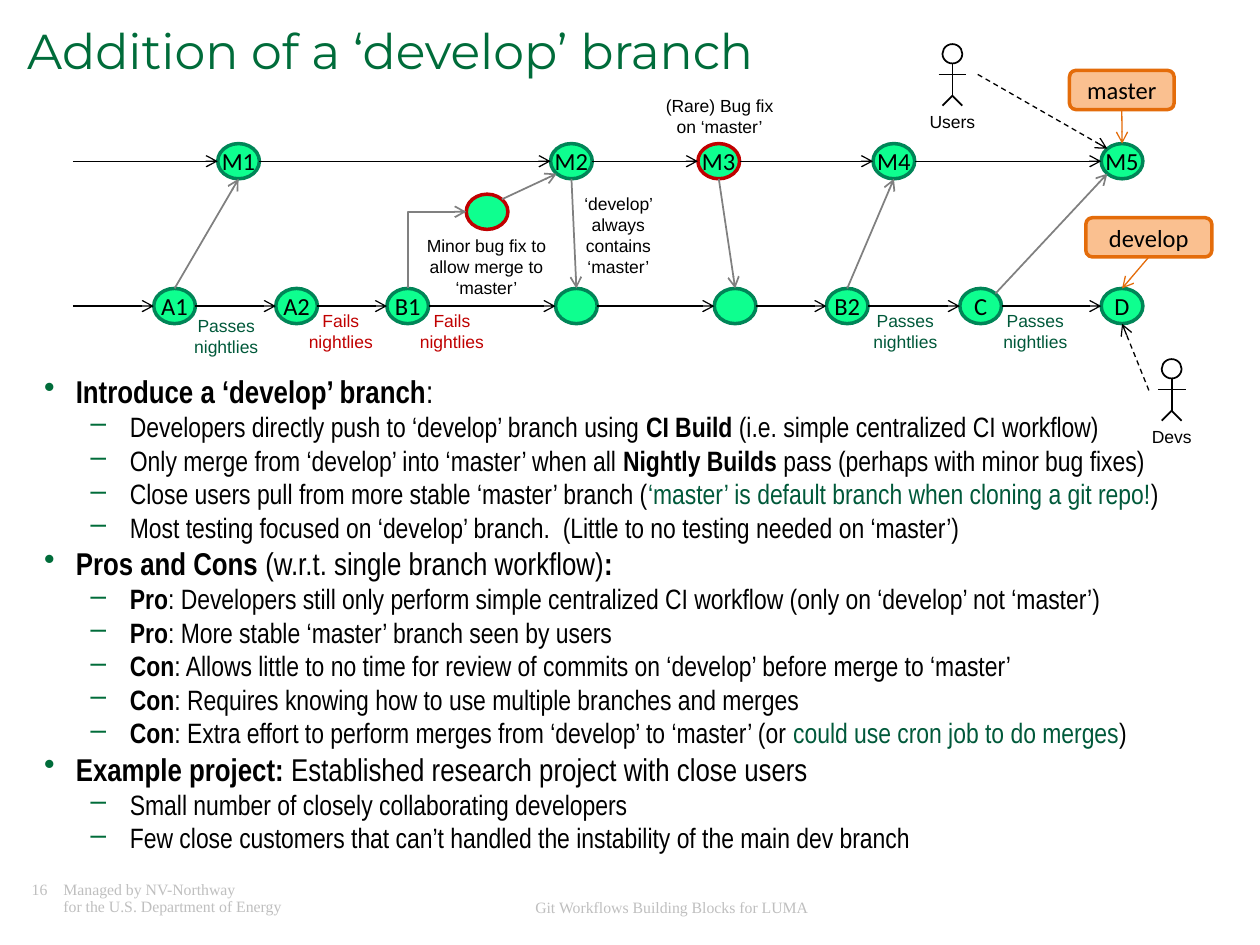
from itertools import pairwise

from lxml.etree import SubElement
from pptx import Presentation
from pptx.dml.color import RGBColor as RGB
from pptx.enum.dml import MSO_LINE as Dash
from pptx.enum.shapes import MSO_CONNECTOR as Conn, MSO_SHAPE as Shape
from pptx.enum.text import MSO_ANCHOR as Anchor, PP_ALIGN as Align
from pptx.oxml.ns import qn
from pptx.util import Cm, Pt

THEME = dict(
    black="000000", title="006C3A", green="00593A", red="C00000", gray="808080",
    node="0EFF8F", ring="008557", tag="FAC090", orange="E46C0A", footer="BFBFBF",
    title_pt=28, head_pt=18, item_pt=16, node_pt=14, label_pt=10, footer_pt=9,
    title_font="Montserrat", body_font="Arial Narrow", label_font="Arial",
    node_font="Calibri", footer_font="Times New Roman",
)

TITLE = "Addition of a ‘develop’ branch"
FOOTER = "16\tManaged by NV-Northway\nfor the U.S. Department of Energy"
FOOTER_MID = "Git Workflows Building Blocks for LUMA"

NODE_W, NODE_H, ROW_START = 0.84, 0.71, 1.47
ROWS = [
    (3.25, [("M1", 4.81), ("M2", 11.52), ("M3", 14.49), ("M4", 18.02), ("M5", 22.62)]),
    (6.17, [("A1", 3.52), ("A2", 5.98), ("B1", 8.22), ("sync1", 11.62),
            ("sync2", 14.82), ("B2", 17.08), ("C", 19.77), ("D", 22.62)]),
]
FIX = ("fix", 9.82, 4.27)
UNNAMED = {"sync1", "sync2", "fix"}
RED_RING = {"M3", "fix"}
MERGES = [
    ("A1", "top", "M1", "bottom"), ("B2", "top", "M4", "bottom"),
    ("C", "top_right", "M5", "bottom_left"), ("fix", "top_right", "M2", "bottom_left"),
    ("M2", "bottom", "sync1", "top"), ("M3", "bottom", "sync2", "top"),
]
TAGS = [("master", 21.56, 1.42, 2.11, "M5"), ("develop", 21.89, 4.39, 2.54, "D")]
TAG_H = 0.79
ACTORS = [
    ("Users", 19.2, 0.89, (19.71, 1.5), "M5", "top_left"),
    ("Devs", 23.62, 7.24, (23.16, 7.87), "D", "bottom"),
]
LABELS = [
    ("(Rare) Bug fix on ‘master’", 13.11, 1.8, 2.79, 1.12, "black"),
    ("Minor bug fix to allow merge to ‘master’", 8.08, 4.62, 3.45, 1.55, "black"),
    ("‘develop’ always contains ‘master’", 11.07, 3.76, 2.79, 1.96, "black"),
    ("Passes nightlies", 3.53, 6.22, 2.06, 1.12, "green"),
    ("Passes nightlies", 17.22, 6.12, 2.06, 1.12, "green"),
    ("Passes nightlies", 19.84, 6.12, 2.06, 1.12, "green"),
    ("Fails nightlies", 5.84, 6.12, 2.06, 1.12, "red"),
    ("Fails nightlies", 8.08, 6.12, 2.06, 1.12, "red"),
]
BODY = [
    ([("Introduce a ‘develop’ branch", "bold"), ":"], [
        ["Developers directly push to ‘develop’ branch using ", ("CI Build", "bold"),
         " (i.e. simple centralized CI workflow)"],
        ["Only merge from ‘develop’ into ‘master’ when all ", ("Nightly Builds ", "bold"),
         "pass (perhaps with minor bug fixes)"],
        ["Close users pull from more stable ‘master’ branch (",
         ("‘master’ is default branch when cloning a git repo!", "green"), ")"],
        ["Most testing focused on ‘develop’ branch.  (Little to no testing needed on ‘master’)"],
    ]),
    ([("Pros and Cons ", "bold"), "(w.r.t. single branch workflow)", (":", "bold")], [
        [("Pro", "bold"), ": Developers still only perform simple centralized CI workflow "
         "(only on ‘develop’ not ‘master’)"],
        [("Pro", "bold"), ": More stable ‘master’ branch seen by users"],
        [("Con", "bold"), ": Allows little to no time for review of commits on ‘develop’ "
         "before merge to ‘master’"],
        [("Con", "bold"), ": Requires knowing how to use multiple branches and merges"],
        [("Con", "bold"), ": Extra effort to perform merges from ‘develop’ to ‘master’ (or ",
         ("could use cron job to do merges", "green"), ")"],
    ]),
    ([("Example project:", "bold"), " Established research project with close users"], [
        ["Small number of closely collaborating developers"],
        ["Few close customers that can’t handled the instability of the main dev branch"],
    ]),
]

DIAG = 0.5 ** 0.5
SITES = dict(top=(0, -1), bottom=(0, 1), left=(-1, 0), right=(1, 0),
             top_left=(-DIAG, -DIAG), top_right=(DIAG, -DIAG), bottom_left=(-DIAG, DIAG))


def rgb(name):
    return RGB.from_string(THEME[name])


def write(p, runs, role="label", color="black", align=Align.LEFT, spacing=None,
          size=None, margin=0, hang=0, bullet=None):
    p.alignment = align
    if spacing:
        p.line_spacing = spacing
    pPr = p._p.get_or_add_pPr()
    if margin:
        pPr.set("marL", str(Cm(margin)))
        pPr.set("indent", str(-Cm(hang)))
    if bullet:
        clr = SubElement(SubElement(pPr, qn("a:buClr")), qn("a:srgbClr"))
        clr.set("val", THEME["title"])
        SubElement(pPr, qn("a:buChar")).set("char", bullet)
    for run in [runs] if isinstance(runs, str) else runs:
        text, style = (run, None) if isinstance(run, str) else run
        for i, line in enumerate(text.split("\n")):
            if i:
                p.add_line_break()
            r = p.add_run()
            r.text = line
            r.font.name = THEME[role + "_font"]
            r.font.size = Pt(THEME[size or role + "_pt"])
            r.font.bold = style == "bold"
            r.font.color.rgb = rgb("green" if style == "green" else color)


def text_box(s, x, y, w, h, inset=True):
    tf = s.shapes.add_textbox(Cm(x), Cm(y), Cm(w), Cm(h)).text_frame
    tf.word_wrap = True
    if not inset:
        tf.margin_left = tf.margin_right = tf.margin_top = tf.margin_bottom = 0
    return tf


def add_shape(s, kind, x, y, w, h, fill, line, width):
    sp = s.shapes.add_shape(kind, Cm(x), Cm(y), Cm(w), Cm(h))
    sp.shadow.inherit = False
    if fill:
        sp.fill.solid()
        sp.fill.fore_color.rgb = rgb(fill)
    else:
        sp.fill.background()
    sp.line.color.rgb = rgb(line)
    sp.line.width = Pt(width)
    return sp


def add_line(s, start, end, color="black", width=0.75, arrow=True, dash=False, kind=Conn.STRAIGHT):
    c = s.shapes.add_connector(kind, *map(Cm, (*start, *end)))
    c.line.color.rgb = rgb(color)
    c.line.width = Pt(width)
    if dash:
        c.line.dash_style = Dash.DASH
    if arrow:
        SubElement(c.line._get_or_add_ln(), qn("a:tailEnd")).set("type", "arrow")
    SubElement(c._element.spPr, qn("a:effectLst"))
    return c


def add_corner(s, start, end, **fmt):
    (x1, y1), (x2, y2) = start, end
    cx, cy, dx, dy = (x1 + x2) / 2, (y1 + y2) / 2, (y1 - y2) / 2, (x2 - x1) / 2
    c = add_line(s, (cx + dx, cy + dy), (cx - dx, cy - dy), kind=Conn.ELBOW, **fmt)
    c._element.spPr.find(qn("a:xfrm")).set("rot", "5400000")
    c._element.spPr.find(qn("a:prstGeom")).set("prst", "bentConnector2")


def add_node(s, name, x, y):
    sp = add_shape(s, Shape.OVAL, x - NODE_W / 2, y - NODE_H / 2, NODE_W, NODE_H,
                   "node", "red" if name in RED_RING else "ring", 2)
    if name not in UNNAMED:
        tf = sp.text_frame
        tf.margin_left = tf.margin_right = tf.margin_top = tf.margin_bottom = 0
        tf.word_wrap = False
        tf.vertical_anchor = Anchor.MIDDLE
        write(tf.paragraphs[0], name, "node", align=Align.CENTER)


def add_actor(s, name, x, y):
    add_shape(s, Shape.OVAL, x - 0.2, y, 0.4, 0.39, None, "black", 1)
    hip = (x, y + 1.04)
    for a, b in [((x, y + 0.39), hip), ((x - 0.28, y + 0.61), (x + 0.28, y + 0.61)),
                 (hip, (x - 0.2, y + 1.24)), (hip, (x + 0.2, y + 1.24))]:
        add_line(s, a, b, width=1, arrow=False)
    write(text_box(s, x - 1, y + 1.22, 2, 0.69).paragraphs[0], name, align=Align.CENTER)


def main():
    prs = Presentation()
    prs.slide_width, prs.slide_height = Cm(25.4), Cm(19.05)
    s = prs.slides.add_slide(prs.slide_layouts[6])

    write(text_box(s, 0.64, 17.78, 7.82, 0.84, inset=False).paragraphs[0], FOOTER,
          "footer", "footer", spacing=0.9, margin=0.64, hang=0.64)
    write(text_box(s, 7.57, 17.98, 11.94, 0.56).paragraphs[0], FOOTER_MID,
          "footer", "footer", Align.CENTER)
    write(text_box(s, 0.3, 0.48, 24.26, 1.27).paragraphs[0], TITLE,
          "title", "title", spacing=0.85)

    nodes = {name: (x, y) for y, row in ROWS for name, x in row}
    nodes[FIX[0]] = FIX[1:]

    def site(name, side):
        (x, y), (dx, dy) = nodes[name], SITES[side]
        return x + dx * NODE_W / 2, y + dy * NODE_H / 2

    for name, (x, y) in nodes.items():
        add_node(s, name, x, y)
    for y, row in ROWS:
        names = [name for name, _ in row]
        add_line(s, (ROW_START, y), site(names[0], "left"))
        for a, b in pairwise(names):
            add_line(s, site(a, "right"), site(b, "left"))
    for a, side_a, b, side_b in MERGES:
        add_line(s, site(a, side_a), site(b, side_b), "gray", 1)
    add_corner(s, site("B1", "top"), site("fix", "left"), color="gray", width=1)

    for name, x, y, w, target in TAGS:
        sp = add_shape(s, Shape.ROUNDED_RECTANGLE, x, y, w, TAG_H, "tag", "orange", 2)
        sp.text_frame.vertical_anchor = Anchor.MIDDLE
        write(sp.text_frame.paragraphs[0], name, "node", align=Align.CENTER)
        add_line(s, (x + w / 2, y + TAG_H), site(target, "top"), "orange")
    for name, x, y, start, target, side in ACTORS:
        add_actor(s, name, x, y)
        add_line(s, start, site(target, side), dash=True)
    for text, x, y, w, h, color in LABELS:
        write(text_box(s, x, y, w, h).paragraphs[0], text, color=color, align=Align.CENTER)

    tf = text_box(s, 0.64, 7.37, 24.23, 10.08)
    p = tf.paragraphs[0]
    for i, (head, items) in enumerate(BODY):
        p = tf.add_paragraph() if i else p
        write(p, head, "body", size="head_pt", margin=0.64, hang=0.64, bullet="•")
        for item in items:
            p = tf.add_paragraph()
            p.level = 1
            write(p, item, "body", size="item_pt", margin=1.73, hang=0.79, bullet="–")

    prs.save("out.pptx")


if __name__ == "__main__":
    main()
